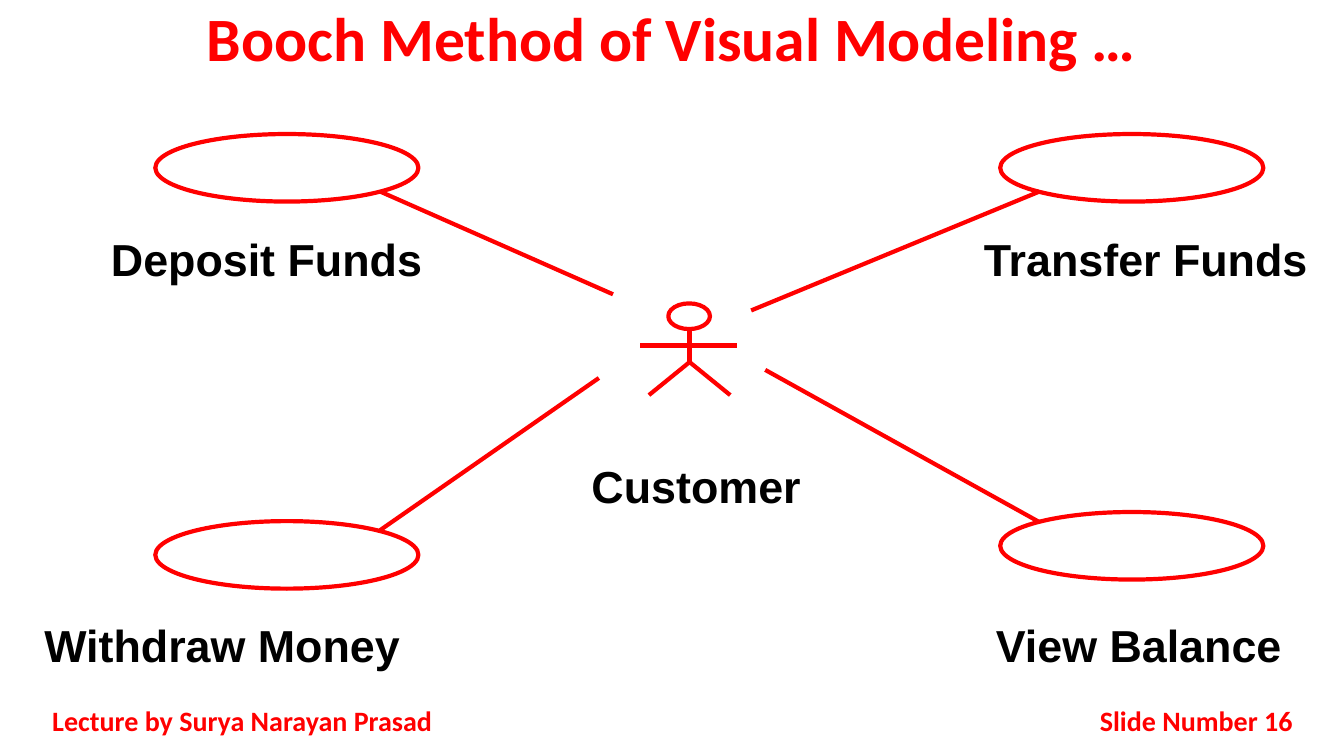
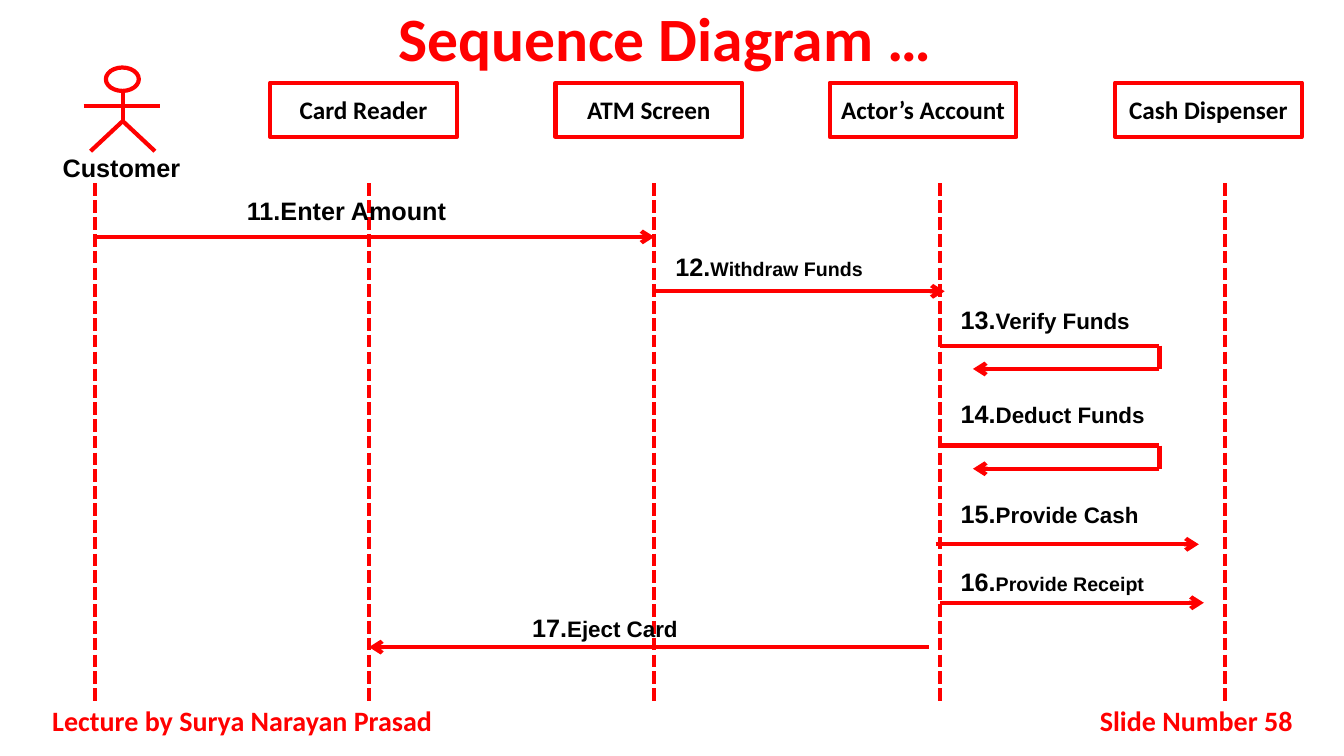
from pptx import Presentation
from pptx.dml.color import RGBColor
from pptx.enum.dml import MSO_LINE
from pptx.enum.shapes import MSO_CONNECTOR, MSO_SHAPE
from pptx.enum.text import MSO_ANCHOR as ANCHOR, MSO_AUTO_SIZE, PP_ALIGN as ALIGN
from pptx.oxml.ns import qn
from pptx.util import Inches, Pt
from lxml import etree

COLORS = {"red": "FF0000", "black": "000000", "white": "FFFFFF"}
HEADING = {"name": "Calibri", "bold": True, "color": "red"}
LABEL = {"name": "Arial", "bold": True, "color": "black"}
BOX_FONT = {"name": "Calibri", "bold": True, "color": "black", "size": 18}
LECTURER = "Lecture by Surya Narayan Prasad"

# Use cases: name, label box, oval corner, line from oval to actor
OVAL_SIZE = (2.61, 0.67)
USE_CASES = [
    ("Deposit Funds", (1, 2.25, 3.29, 0.64), (1.54, 1.33), (3.77, 1.9, 6.08, 2.92)),
    ("Withdraw Money", (0.26, 6.08, 3.89, 0.64), (1.54, 5.17), (3.77, 5.26, 5.94, 3.75)),
    ("Transfer Funds", (9.65, 2.25, 3.43, 0.64), (9.92, 1.33), (10.31, 1.9, 7.45, 3.08)),
    ("View Balance", (9.65, 6.08, 3.29, 0.64), (9.92, 5.08), (10.31, 5.18, 7.59, 3.67)),
]

# Sequence diagram
PARTICIPANTS = [("Card Reader", 2.68), ("ATM Screen", 5.51),
                ("Actor’s Account", 8.23), ("Cash Dispenser", 11.06)]
LIFELINES = [0.94] + [3.66 + 2.83 * i for i in range(4)]
# Messages: number, wording, wording size, text corner, start x, end x, arrow y
MESSAGES = [
    ("11.", "Enter Amount", 18, (2.35, 1.89), 0.93, 6.49, 2.35),
    ("12.", "Withdraw Funds", 14, (6.6, 2.44), 6.49, 9.37, 2.89),
    ("13.", "Verify Funds", 16, (9.43, 2.97), 9.32, 9.65, 3.43),
    ("14.", "Deduct Funds", 16, (9.43, 3.9), 9.32, 9.65, 4.42),
    ("15.", "Provide Cash", 16, (9.43, 4.89), 9.28, 11.89, 5.4),
    ("16.", "Provide Receipt", 14, (9.43, 5.57), 9.32, 11.94, 5.98),
    ("17.", "Eject Card", 16, (5.18, 6.03), 9.21, 3.66, 6.42),
]
SELF_CALLS = {"13.", "14."}
LOOP_RIGHT, LOOP_DROP = 11.5, 0.23

# Stick figure as fractions of its width and height
HEAD = (0.29, 0, 0.43, 0.28)
LIMBS = [(0.51, 0.27, 0.51, 0.64), (0.51, 0.64, 0.09, 1),
         (0.51, 0.64, 0.93, 1), (0, 0.46, 1, 0.46)]


def rgb(name):
    """Return a palette colour."""
    return RGBColor.from_string(COLORS[name])


def style(run, font):
    """Apply a dict of font values to a run."""
    for key, value in font.items():
        if key == "color":
            run.font.color.rgb = rgb(value)
        else:
            setattr(run.font, key, Pt(value) if key == "size" else value)


def fill_text(sp, runs, align=ALIGN.CENTER, anchor=ANCHOR.TOP, side=0):
    """Write (text, font) runs as the one paragraph of a shape."""
    tf = sp.text_frame
    frame = {"word_wrap": True, "auto_size": MSO_AUTO_SIZE.NONE,
             "vertical_anchor": anchor, "margin_left": Inches(side),
             "margin_right": Inches(side)}
    for key, value in frame.items():
        setattr(tf, key, value)
    p = tf.paragraphs[0]
    p.alignment = align
    for text, font in runs:
        r = p.add_run()
        r.text = text
        style(r, font)
    return p


def add_text(slide, box, runs, **layout):
    """Add a text box."""
    sp = slide.shapes.add_textbox(*map(Inches, box))
    fill_text(sp, runs, **layout)


def add_outline(slide, kind, box):
    """Add a white shape with a red outline."""
    sp = slide.shapes.add_shape(kind, *map(Inches, box))
    sp.shadow.inherit = False
    sp.fill.solid()
    sp.fill.fore_color.rgb = rgb("white")
    sp.line.color.rgb = rgb("red")
    sp.line.width = Pt(3)
    return sp


def add_line(slide, ends, dashed=False, arrow=False):
    """Add a red line through (x1, y1, x2, y2)."""
    line = slide.shapes.add_connector(MSO_CONNECTOR.STRAIGHT, *map(Inches, ends))
    line.line.color.rgb = rgb("red")
    line.line.width = Pt(3)
    if dashed:
        line.line.dash_style = MSO_LINE.SQUARE_DOT
    if arrow:
        etree.SubElement(line.line._get_or_add_ln(), qn("a:tailEnd"), type="arrow")
    etree.SubElement(line._element.spPr, qn("a:effectLst"))


def add_actor(slide, left, top, width, height):
    """Draw a stick figure in the given box."""
    def scale(part):
        return [f * (width, height)[i % 2] for i, f in enumerate(part)]

    x, y, w, h = scale(HEAD)
    add_outline(slide, MSO_SHAPE.OVAL, (left + x, top + y, w, h))
    for limb in LIMBS:
        x1, y1, x2, y2 = scale(limb)
        add_line(slide, (left + x1, top + y1, left + x2, top + y2))


def add_slide(prs, title, number):
    """Add a slide with the shared title and footers."""
    slide = prs.slides.add_slide(prs.slide_layouts[5])
    sp = slide.shapes.title
    sp.left, sp.top, sp.width, sp.height = map(Inches, (0, 0, 13.33, 0.83))
    p = fill_text(sp, [(title, {**HEADING, "size": 44})],
                  anchor=ANCHOR.MIDDLE, side=0.1)
    p.line_spacing = 0.9
    for text, left, width, align in [
            (LECTURER, 0.42, 4.17, ALIGN.JUSTIFY),
            (f"Slide Number {number}", 10.17, 2.75, ALIGN.RIGHT)]:
        add_text(slide, (left, 6.95, width, 0.4), [(text, {**HEADING, "size": 20})],
                 align=align, anchor=ANCHOR.MIDDLE, side=0.1)
    return slide


def build_use_cases(prs):
    """Build the use case slide."""
    slide = add_slide(prs, "Booch Method of Visual Modeling …", 16)
    font = {**LABEL, "size": 32}
    add_actor(slide, 6.35, 3.01, 0.96, 0.91)
    add_text(slide, (5.26, 4.5, 3.29, 0.64), [("Customer", font)])
    for name, box, corner, ends in USE_CASES:
        add_outline(slide, MSO_SHAPE.OVAL, corner + OVAL_SIZE)
        add_line(slide, ends)
        add_text(slide, box, [(name, font)])


def build_sequence(prs):
    """Build the sequence diagram slide."""
    slide = add_slide(prs, "Sequence Diagram … ", 58)
    font = {**LABEL, "size": 18}
    for name, left in PARTICIPANTS:
        sp = add_outline(slide, MSO_SHAPE.RECTANGLE, (left, 0.82, 1.85, 0.54))
        fill_text(sp, [(name, BOX_FONT)], anchor=ANCHOR.MIDDLE)
    add_actor(slide, 0.83, 0.67, 0.76, 0.83)
    add_text(slide, (0.42, 1.46, 1.57, 0.4), [("Customer", font)])
    for x in LIFELINES:
        add_line(slide, (x, 1.82, x, 6.95), dashed=True)
    for number, text, size, corner, start, end, y in MESSAGES:
        if number in SELF_CALLS:
            add_line(slide, (start, y, LOOP_RIGHT, y))
            add_line(slide, (LOOP_RIGHT, y, LOOP_RIGHT, y + LOOP_DROP))
            start, y = LOOP_RIGHT, y + LOOP_DROP
        add_line(slide, (start, y, end, y), arrow=True)
        add_text(slide, corner + (2.7, 0.4),
                 [(number, font), (text, {**LABEL, "size": size})],
                 align=ALIGN.LEFT, side=0.1)


prs = Presentation()
prs.slide_width, prs.slide_height = Inches(13.33), Inches(7.5)
build_use_cases(prs)
build_sequence(prs)
prs.save("out.pptx")
